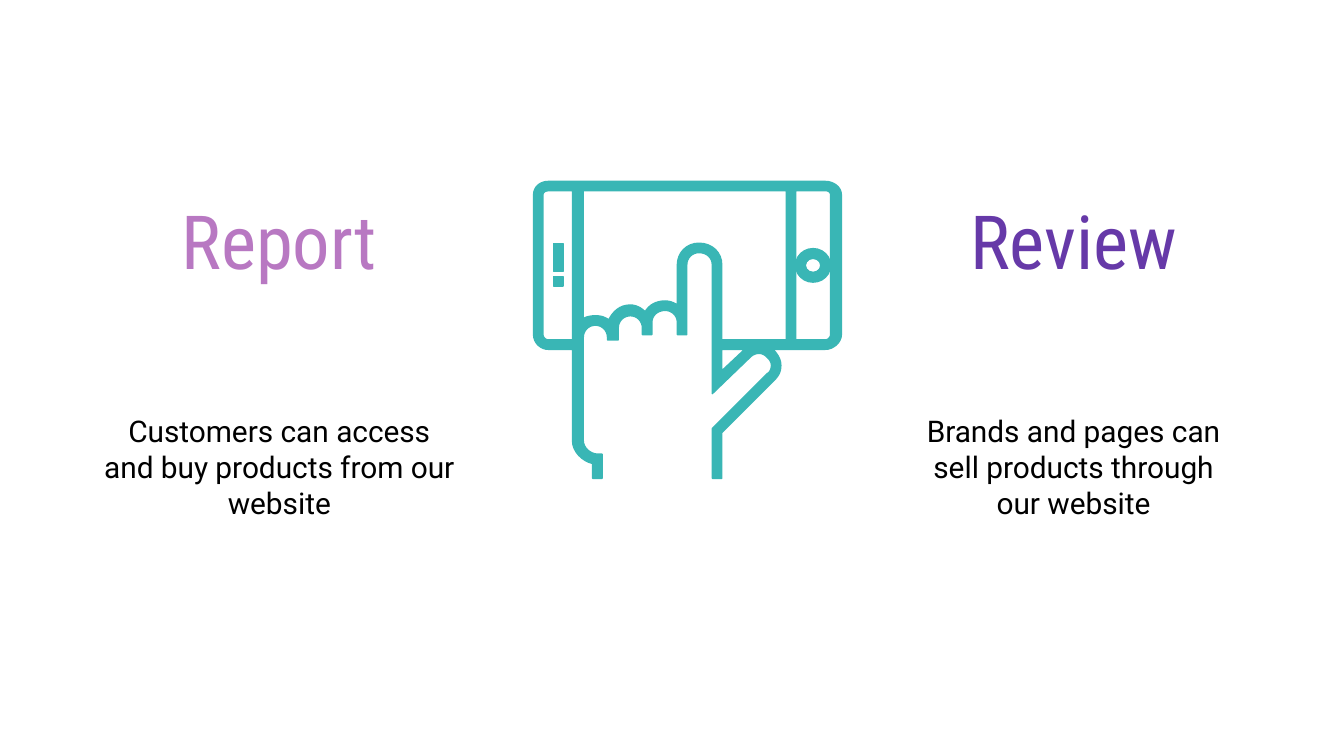
import pptx
import pptx.dml.color
import pptx.enum.shapes
import pptx.enum.text
import pptx.oxml.xmlchemy
import pptx.util

Cm = pptx.util.Cm
Pt = pptx.util.Pt

THEME = {
    "heading_font": "Roboto Condensed",
    "heading_size": 40,
    "caption_font": "Roboto",
    "caption_size": 16,
    "text": "000000",
    "icon": "39B6B5",
    "icon_line": 0.75,
}

COLUMNS = [
    {"heading": "Report", "color": "B878C2", "center": 5.28, "caption_width": 7.16,
     "caption": "Customers can access and buy products from our website"},
    {"heading": "Review", "color": "6639A8", "center": 20.29, "caption_width": 6.35,
     "caption": "Brands and pages can sell products through our website"},
]
HEADING_TOP, HEADING_WIDTH, HEADING_HEIGHT = 4.14, 4.45, 0.79
CAPTION_TOP, CAPTION_HEIGHT = 7.95, 1.75

ICON_UNIT = Cm(0.0254)
CURVE_STEPS = 8
HOME_PANEL = ["M 592 142 L 592 253 L 614 253 C 616 253 618 251 618 249",
              "L 618 145 C 618 143 616 142 615 142"]
SCREEN = ["M 434 142 L 434 237 C 436 236 439 235 443 235 C 447 235 450 236 453 238",
          "C 456 232 461 227 469 227 C 473 227 477 229 480 232 C 483 227 488 224 495 224",
          "C 498 224 501 225 504 227 L 504 197 C 504 188 511 181 520 181",
          "C 530 181 537 188 537 197 L 537 253 L 585 253 L 585 142"]
SPEAKER_PANEL = ["M 408 142 C 406 142 404 143 404 145 L 404 249",
                 "C 404 251 406 253 408 253 L 426 253 L 426 142"]
THUMB_GAP = ["M 537 260 L 537 276 L 553 261 C 553 260 554 260 554 260"]
SILHOUETTE = [
    "M 614 135 C 620 135 626 139 626 145 L 626 249 C 626 255 620 260 614 260 L 575 260",
    "C 575 260 576 260 576 261 C 579 264 581 268 581 272 C 581 277 579 280 576 283",
    "L 537 322 L 537 356 L 530 356 L 530 319 L 571 278",
    "C 573 277 574 274 574 272 C 574 270 573 268 571 266 C 569 264 567 263 565 263",
    "C 562 263 560 264 558 266 L 530 293 L 530 197 C 530 192 526 188 520 188",
    "C 515 188 511 192 511 197 L 511 249 L 504 249 L 504 240",
    "C 504 235 500 231 495 231 C 489 231 485 235 485 240 L 485 249 L 478 249 L 478 244",
    "C 478 239 474 235 469 235 C 464 235 460 239 460 244 L 460 253 L 452 253 L 452 251",
    "C 452 246 448 242 443 242 C 438 242 434 246 434 251 L 434 328",
    "C 434 333 439 338 445 338 L 448 338 L 448 356 L 441 356 L 441 345",
    "C 433 343 426 336 426 328 L 426 260 L 408 260 C 402 260 397 255 397 249",
    "L 397 145 C 397 139 402 135 408 135",
]
HAND_AND_PHONE = [HOME_PANEL, SCREEN, SPEAKER_PANEL, THUMB_GAP, SILHOUETTE]
RECTANGLE = pptx.enum.shapes.MSO_SHAPE.RECTANGLE
DONUT = pptx.enum.shapes.MSO_SHAPE.DONUT
PHONE_DETAILS = [
    (RECTANGLE, 412, 206, 7, 7),
    (RECTANGLE, 412, 181, 7, 21),
    (DONUT, 592, 185, 26, 25),
]
RING_THICKNESS = 0.29


def color(value):
    return pptx.dml.color.RGBColor.from_string(value)


def outline_points(outline):
    tokens = iter(" ".join(outline).split())
    points = []
    for command in tokens:
        count = 3 if command == "C" else 1
        target = [(int(next(tokens)), int(next(tokens))) for _ in range(count)]
        if command != "C":
            points += target
            continue
        curve = [points[-1], *target]
        for step in range(1, CURVE_STEPS + 1):
            t = step / CURVE_STEPS
            weights = ((1 - t) ** 3, 3 * t * (1 - t) ** 2, 3 * t * t * (1 - t), t ** 3)
            points.append(tuple(sum(w * p[axis] for w, p in zip(weights, curve)) for axis in (0, 1)))
    return [(x * ICON_UNIT, y * ICON_UNIT) for x, y in points]


def paint_icon(shape):
    shape.shadow.inherit = False
    shape.fill.solid()
    shape.fill.fore_color.rgb = color(THEME["icon"])
    shape.line.color.rgb = color(THEME["icon"])
    shape.line.width = Pt(THEME["icon_line"])


def draw_icon(slide):
    first, *others = [outline_points(outline) for outline in HAND_AND_PHONE]
    builder = slide.shapes.build_freeform(*first[0], scale=1.0)
    builder.add_line_segments(first[1:], close=True)
    for points in others:
        builder.move_to(*points[0])
        builder.add_line_segments(points[1:], close=True)
    paint_icon(builder.convert_to_shape())
    for kind, *box in PHONE_DETAILS:
        shape = slide.shapes.add_shape(kind, *[value * ICON_UNIT for value in box])
        if kind == DONUT:
            shape.adjustments[0] = RING_THICKNESS
        paint_icon(shape)


def fill_placeholder(shape, text, center, top, width, height, style, text_color):
    shape.left, shape.top = Cm(center - width / 2), Cm(top)
    shape.width, shape.height = Cm(width), Cm(height)
    frame = shape.text_frame
    frame.text = text
    frame.word_wrap = True
    frame.auto_size = pptx.enum.text.MSO_AUTO_SIZE.NONE
    frame.vertical_anchor = pptx.enum.text.MSO_ANCHOR.MIDDLE
    frame.margin_left = frame.margin_right = Cm(0.25)
    frame.margin_top = frame.margin_bottom = Cm(0.25)
    paragraph = frame.paragraphs[0]
    properties = paragraph._p.get_or_add_pPr()
    properties.set("marL", "0")
    properties.set("indent", "0")
    properties.append(pptx.oxml.xmlchemy.OxmlElement("a:buNone"))
    paragraph.alignment = pptx.enum.text.PP_ALIGN.CENTER
    paragraph.space_before = Pt(0)
    font = paragraph.runs[0].font
    font.name = THEME[style + "_font"]
    font.size = Pt(THEME[style + "_size"])
    font.bold = False
    font.color.rgb = color(text_color)


def main():
    presentation = pptx.Presentation()
    presentation.slide_width = Cm(25.4)
    presentation.slide_height = Cm(14.29)
    comparison_layout = presentation.slide_layouts[4]
    slide = presentation.slides.add_slide(comparison_layout)
    unused_title = slide.shapes.title.element
    unused_title.getparent().remove(unused_title)
    draw_icon(slide)
    placeholders = list(slide.placeholders)
    for column, heading, caption in zip(COLUMNS, placeholders[::2], placeholders[1::2]):
        fill_placeholder(heading, column["heading"], column["center"], HEADING_TOP,
                         HEADING_WIDTH, HEADING_HEIGHT, "heading", column["color"])
        fill_placeholder(caption, column["caption"], column["center"], CAPTION_TOP,
                         column["caption_width"], CAPTION_HEIGHT, "caption", THEME["text"])
    presentation.save("out.pptx")


if __name__ == "__main__":
    main()
